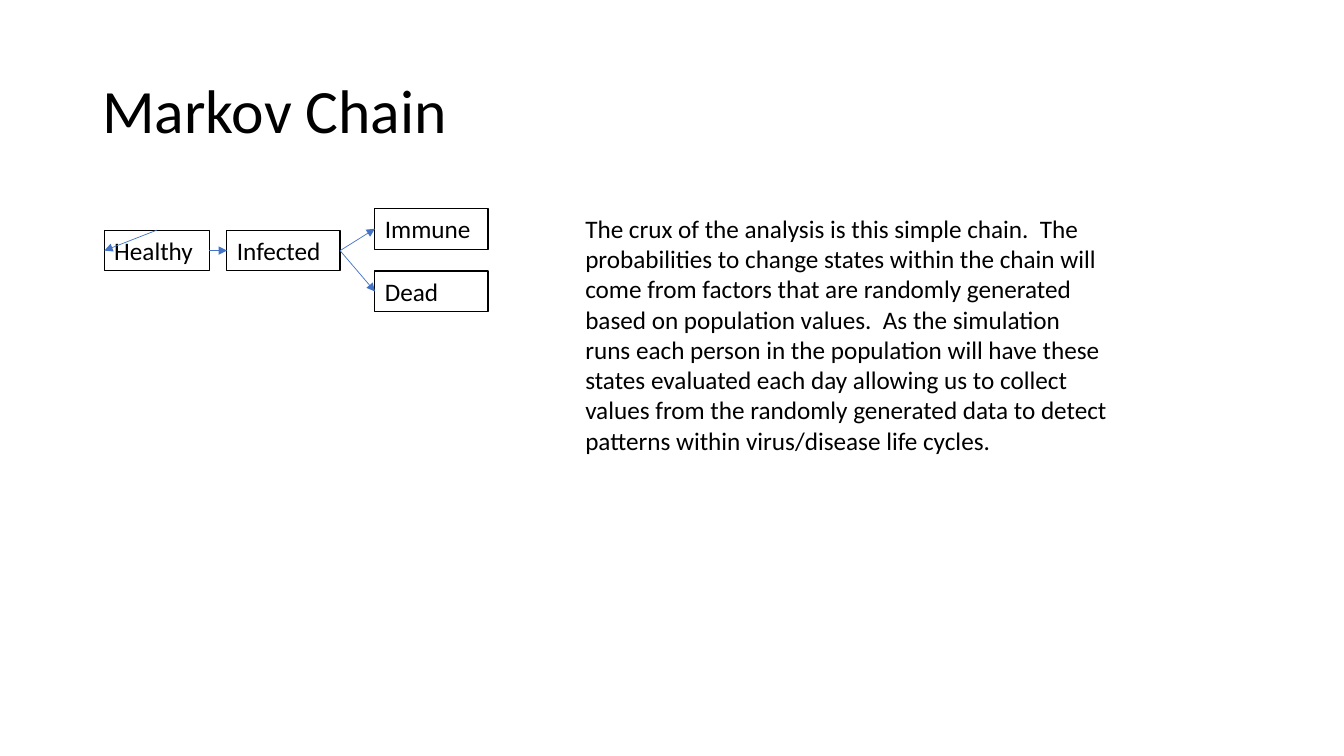
import pptx
import pptx.util
import pptx.dml.color
import pptx.enum.shapes
import pptx.enum.text
import pptx.oxml
import pptx.oxml.ns
import lxml.etree

Cm, Pt = pptx.util.Cm, pptx.util.Pt
ANCHOR = pptx.enum.text.MSO_ANCHOR
BLACK = pptx.dml.color.RGBColor(0x00, 0x00, 0x00)
BLUE = pptx.dml.color.RGBColor(0x44, 0x72, 0xC4)
FONT = "Calibri"

# Content (lengths in cm)
TITLE = "Markov Chain"
BODY = (
    "The crux of the analysis is this simple chain.  The probabilities to change "
    "states within the chain will come from factors that are randomly generated "
    "based on population values.  As the simulation runs each person in the "
    "population will have these states evaluated each day allowing us to collect "
    "values from the randomly generated data to detect patterns within "
    "virus/disease life cycles."
)
STATE_H = 1.03
STATES = {  # name: (left, top, width)
    "Healthy": (2.63, 5.8, 2.64),
    "Infected": (5.72, 5.8, 2.85),
    "Immune": (9.45, 5.25, 2.85),
    "Dead": (9.45, 6.83, 2.85),
}
TRANSITIONS = [  # (state, side) to (state, side)
    (("Healthy", "right"), ("Infected", "left")),
    (("Healthy", "top"), ("Healthy", "left")),
    (("Infected", "right"), ("Dead", "left")),
    (("Infected", "right"), ("Immune", "left")),
]


def add_text(shape, text, size, anchor=ANCHOR.TOP, spacing=1.0):
    tf = shape.text_frame
    tf.word_wrap = True
    tf.vertical_anchor = anchor
    p = tf.paragraphs[0]
    p.alignment = pptx.enum.text.PP_ALIGN.LEFT
    p.line_spacing = spacing
    r = p.add_run()
    r.text = text
    r.font.name, r.font.size, r.font.color.rgb = FONT, Pt(size), BLACK


def site(state, side):
    """Point at the middle of one side of a state box."""
    left, top, width = STATES[state]
    across = {"left": 0, "top": width / 2, "right": width}[side]
    down = 0 if side == "top" else STATE_H / 2
    return Cm(left + across), Cm(top + down)


prs = pptx.Presentation()
prs.slide_width, prs.slide_height = Cm(33.87), Cm(19.05)
s = prs.slides.add_slide(prs.slide_layouts[6])

# Title
title = s.shapes.add_textbox(Cm(2.33), Cm(1.01), Cm(29.21), Cm(3.68))
add_text(title, TITLE, 44, ANCHOR.MIDDLE, 0.9)

# State boxes
for name, (left, top, width) in STATES.items():
    sp = s.shapes.add_shape(pptx.enum.shapes.MSO_SHAPE.RECTANGLE,
                            Cm(left), Cm(top), Cm(width), Cm(STATE_H))
    sp.shadow.inherit = False
    sp.fill.background()
    sp.line.color.rgb, sp.line.width = BLACK, Pt(0.75)
    add_text(sp, name, 18)

# Transition arrows
for start, end in TRANSITIONS:
    arrow = s.shapes.add_connector(pptx.enum.shapes.MSO_CONNECTOR.STRAIGHT,
                                   *site(*start), *site(*end))
    arrow.line.color.rgb, arrow.line.width = BLUE, Pt(0.5)
    qn = pptx.oxml.ns.qn
    head = lxml.etree.SubElement(arrow.line._get_or_add_ln(), qn("a:tailEnd"))
    head.set("type", "triangle")
    lxml.etree.SubElement(arrow._element.spPr, qn("a:effectLst"))

# Explanation
body = s.shapes.add_textbox(Cm(14.5), Cm(5.25), Cm(13.67), Cm(6.4))
add_text(body, BODY, 18)

prs.save("out.pptx")
